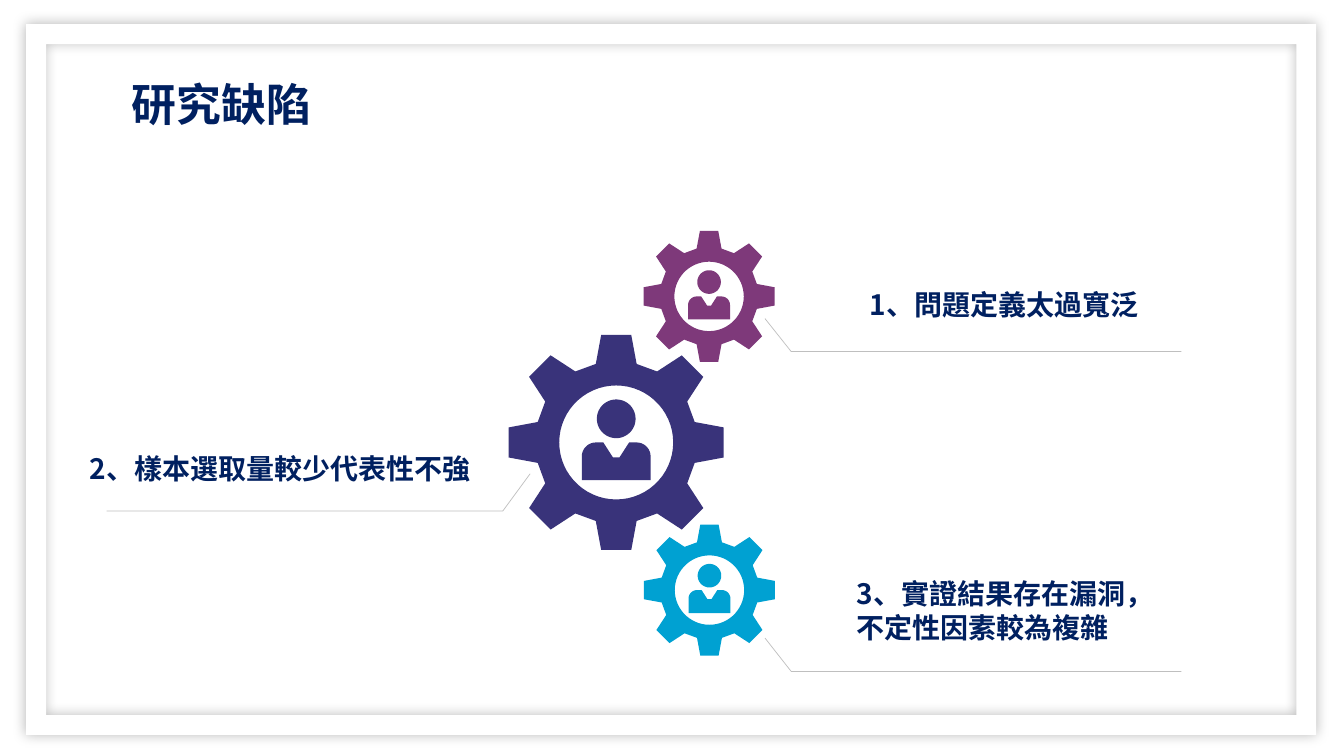
from math import cos, sin, radians

from lxml.etree import SubElement
from pptx import Presentation
from pptx.dml.color import RGBColor
from pptx.enum.shapes import MSO_SHAPE as Preset
from pptx.enum.text import MSO_ANCHOR as Anchor, MSO_AUTO_SIZE as AutoSize, PP_ALIGN as Align
from pptx.oxml.ns import qn
from pptx.util import Cm, Pt

FONT = "Noto Sans CJK TC"
COLOURS = {
    "text": "002060",
    "white": "FFFFFF",
    "leader": "BFBFBF",
    "shadow": "000000",
    "purple": "7E397A",
    "indigo": "39337A",
    "cyan": "00A1D2",
}


def write(box, text, size=20, spacing=1.0, inset=(0.25, 0.13), fit=AutoSize.SHAPE_TO_FIT_TEXT):
    """Fill a box with one bold paragraph for each line of text."""
    frame = box.text_frame
    frame.word_wrap = True
    frame.auto_size = fit
    frame.vertical_anchor = Anchor.TOP
    frame.margin_left = frame.margin_right = Cm(inset[0])
    frame.margin_top = frame.margin_bottom = Cm(inset[1])
    for index, line in enumerate(text.split("\n")):
        para = frame.add_paragraph() if index else frame.paragraphs[0]
        para.alignment = Align.LEFT
        para.line_spacing = spacing
        para.space_before = Pt(0)
        span = para.add_run()
        span.text = line
        span.font.name = FONT
        span.font.size = Pt(size)
        span.font.bold = True
        span.font.color.rgb = RGBColor.from_string(COLOURS["text"])
        SubElement(span.font._element, qn("a:ea"), typeface=FONT)


def trace(contours, centre=(0, 0), radius=1, closed=True):
    """Draw contours given in units of the radius (cm) around a centre (cm)."""
    placed = [[(1000 * (centre[0] + radius * x), 1000 * (centre[1] + radius * y)) for x, y in contour]
              for contour in contours]
    builder = page.shapes.build_freeform(*placed[0][0], scale=Cm(1) / 1000)
    for index, contour in enumerate(placed):
        if index:
            builder.move_to(*contour[0])
        builder.add_line_segments(contour[1:], close=closed)
    outline = builder.convert_to_shape()
    outline.shadow.inherit = False
    return outline


deck = Presentation()
deck.slide_width, deck.slide_height = Cm(33.87), Cm(19.05)
page = deck.slides.add_slide(deck.slide_layouts[5])

# Border with a soft shadow, behind the title
title = page.shapes.title
border = page.shapes.add_shape(Preset.FRAME, Cm(0.66), Cm(0.61), Cm(32.51), Cm(17.91))
border.adjustments[0] = 0.028
border.fill.solid()
border.fill.fore_color.rgb = RGBColor.from_string(COLOURS["white"])
border.line.fill.background()
border.shadow.inherit = False
effects = border._element.spPr.find(qn("a:effectLst"))
shadow = SubElement(effects, qn("a:outerShdw"), blurRad=str(Pt(9)), dist="0", dir="0",
                    algn="ctr", rotWithShape="0")
shade = SubElement(shadow, qn("a:srgbClr"), val=COLOURS["shadow"])
SubElement(shade, qn("a:alpha"), val="27000")
title._element.addprevious(border._element)

title.left, title.top, title.width, title.height = Cm(3.07), Cm(1.52), Cm(8.1), Cm(1.78)
write(title, "研究缺陷", size=32, spacing=1.2, fit=AutoSize.NONE)

# A gear is a quarter of teeth turned four times, around a round hole
quarter = [(-0.14, -1), (0.14, -1), (0.19, -0.73), (0.38, -0.66),
           (0.61, -0.81), (0.81, -0.61), (0.66, -0.38), (0.73, -0.19)]
teeth = []
for turn in range(4):
    teeth += quarter
    quarter = [(-y, x) for x, y in quarter]
circle = [(cos(radians(angle)), sin(radians(angle))) for angle in range(0, 360, 6)]
hole = [(0.53 * x, 0.53 * y) for x, y in circle]

# A person is a head above a body with round shoulders and a collar notch
head = [(0.18 * x, 0.18 * y - 0.22) for x, y in circle]
shoulder = [(0.19 + 0.13 * sin(radians(angle)), 0.13 - 0.13 * cos(radians(angle)))
            for angle in range(0, 91, 10)]
right_side = [(0.03, 0.14), (0.12, 0)] + shoulder + [(0.32, 0.35)]
body = right_side + [(-x, y) for x, y in reversed(right_side)]

gears = [
    ("cyan", (17.88, 14.87), 1.65),
    ("purple", (17.87, 7.47), 1.65),
    ("indigo", (15.53, 11.15), 2.71),
]
for colour, centre, radius in gears:
    parts = [trace(contours, centre, radius) for contours in ([teeth, hole], [head, body])]
    for part in parts:
        part.fill.solid()
        part.fill.fore_color.rgb = RGBColor.from_string(COLOURS[colour])
        part.line.fill.background()
    page.shapes.add_group_shape(parts)

leaders = [
    [(19.28, 8.03), (19.94, 8.86), (29.77, 8.86)],
    [(19.28, 16.08), (19.94, 16.92), (29.77, 16.92)],
    [(13.36, 11.94), (12.67, 12.88), (2.69, 12.88)],
]
for points in leaders:
    leader = trace([points], closed=False)
    leader.fill.background()
    leader.line.color.rgb = RGBColor.from_string(COLOURS["leader"])
    leader.line.width = Pt(0.5)

labels = [
    ("1、問題定義太過寬泛", (21.59, 7.06, 7.52, 1.19), (0.33, 0.18)),
    ("2、樣本選取量較少代表性不強", (1.93, 11.2, 10.36, 1.19), (0.33, 0.18)),
    ("3、實證結果存在漏洞，\n不定性因素較為複雜", (21.34, 14.4, 8.05, 1.96), (0.25, 0.13)),
]
for text, place, inset in labels:
    write(page.shapes.add_textbox(*map(Cm, place)), text, inset=inset)

deck.save("out.pptx")
